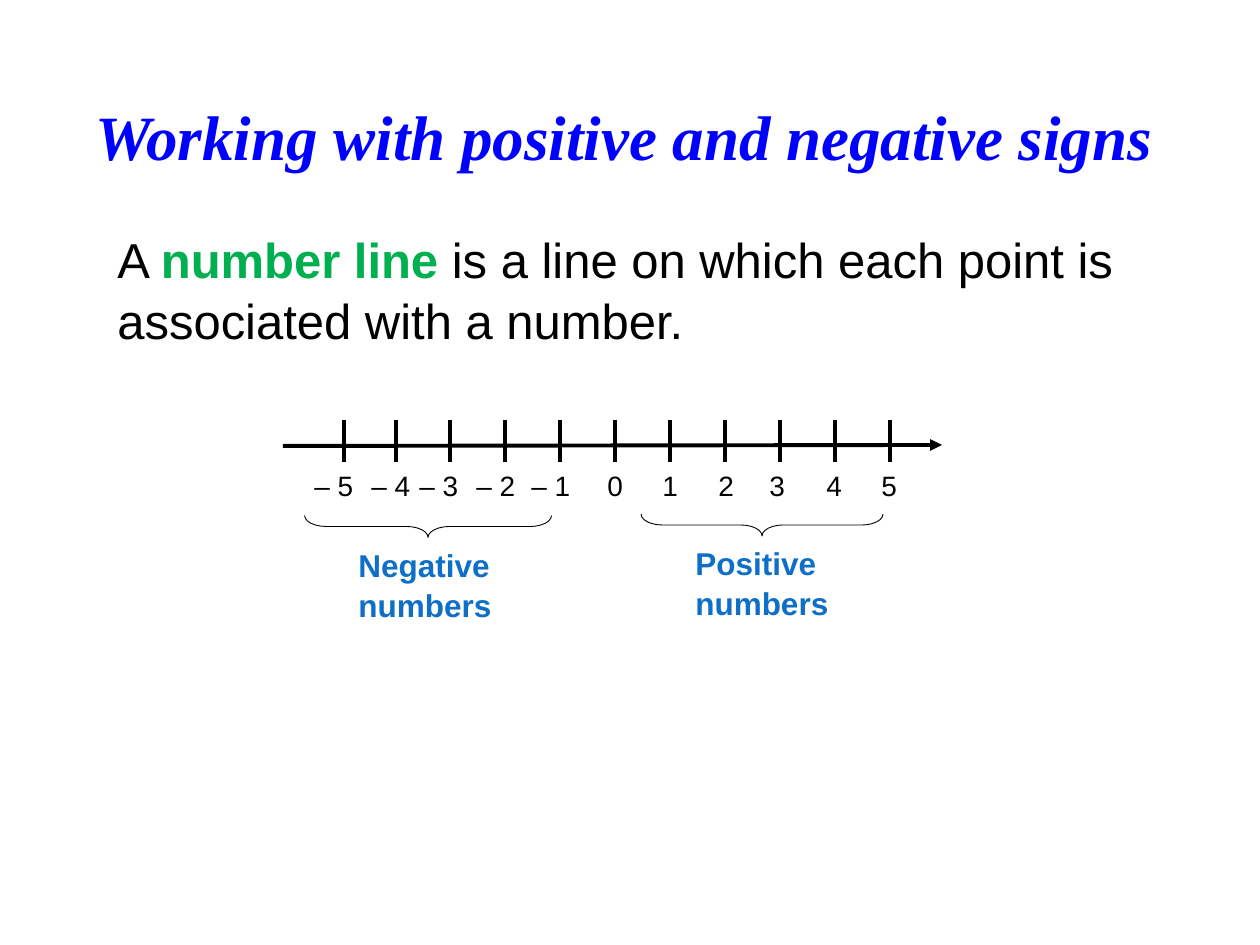
from dataclasses import dataclass

from lxml.etree import SubElement
from pptx import Presentation
from pptx.dml.color import RGBColor
from pptx.enum.shapes import MSO_CONNECTOR, MSO_SHAPE
from pptx.enum.text import MSO_ANCHOR, PP_ALIGN
from pptx.oxml.ns import qn
from pptx.util import Emu, Pt


@dataclass(frozen=True)
class Theme:
    """Colours, fonts, type sizes and line widths of the slide."""
    black: str = "000000"
    title_blue: str = "0000FF"
    term_green: str = "00B050"
    label_blue: str = "0F6FC6"
    title_font: str = "Times New Roman"
    body_font: str = "Arial"
    title_size: int = 36
    body_size: int = 28
    label_size: int = 18
    number_size: int = 16
    axis_width: float = 2.25
    brace_width: float = 0.5
    leading: float = 1.05


THEME = Theme()
TICK_TOP, TICK_BOTTOM = 420, 462
NUMBERS = [
    ("– 5", 344, 302, 84), ("– 4", 396, 359, 84), ("– 3", 450, 407, 84),
    ("– 2", 505, 464, 84), ("– 1", 560, 519, 84), ("0", 615, 595, 42),
    ("1", 670, 650, 64), ("2", 725, 706, 64), ("3", 780, 757, 64),
    ("4", 835, 814, 64), ("5", 890, 869, 64),
]


def px(length):
    """Turn pixels into EMU."""
    return Emu(round(length * 914400 / 126))


def add_text(shapes, frame, runs, size, font=THEME.body_font, align=PP_ALIGN.LEFT,
             leading=None):
    """Add a wrapped text box from (text, colour, bold, italic) runs."""
    box = shapes.add_textbox(*map(px, frame))
    box.text_frame.word_wrap = True
    box.text_frame.vertical_anchor = MSO_ANCHOR.TOP
    para = box.text_frame.paragraphs[0]
    para.alignment = align
    para.line_spacing = leading
    for text, colour, bold, italic in runs:
        span = para.add_run()
        span.text = text
        span.font.name = font
        span.font.size = Pt(size)
        span.font.bold = bold
        span.font.italic = italic
        span.font.color.rgb = RGBColor.from_string(colour)


def add_line(shapes, start, end, arrow=False):
    """Add a straight black line, with an arrowhead at its end if asked."""
    line = shapes.add_connector(MSO_CONNECTOR.STRAIGHT, *map(px, start + end))
    line.line.width = Pt(THEME.axis_width)
    line.line.color.rgb = RGBColor.from_string(THEME.black)
    properties = line.line._get_or_add_ln()
    if arrow:
        SubElement(properties, qn("a:tailEnd"), type="triangle")
    SubElement(properties.getparent(), qn("a:effectLst"))


def add_brace(shapes, frame, curve):
    """Add a brace turned to point down."""
    brace = shapes.add_shape(MSO_SHAPE.RIGHT_BRACE, *map(px, frame))
    brace.rotation = 90
    brace.adjustments[0] = curve
    brace.adjustments[1] = 0.5
    brace.shadow.inherit = False
    brace.fill.background()
    brace.line.width = Pt(THEME.brace_width)
    brace.line.color.rgb = RGBColor.from_string(THEME.black)


def add_number_line(shapes):
    """Add the axis with its ticks and numbers as one group."""
    group = shapes.add_group_shape().shapes
    add_line(group, (283, 446), (942, 445), arrow=True)
    for number, tick, left, width in NUMBERS:
        add_line(group, (tick, TICK_TOP), (tick, TICK_BOTTOM))
        add_text(group, (left, TICK_BOTTOM, width, 47),
                 [(number, THEME.black, False, False)], THEME.number_size)


def add_range(shapes, text, text_frame, brace_frame, curve):
    """Add a brace and the name of the numbers it spans as one group."""
    group = shapes.add_group_shape().shapes
    add_text(group, text_frame, [(text, THEME.label_blue, True, False)],
             THEME.label_size, leading=THEME.leading)
    add_brace(group, brace_frame, curve)


def main():
    """Build and save the slide."""
    deck = Presentation()
    deck.slide_width, deck.slide_height = px(1260), px(945)
    page = deck.slides.add_slide(deck.slide_layouts[6])
    shapes = page.shapes
    add_text(shapes, (57, 91, 1134, 183),
             [("Working with positive and negative signs", THEME.title_blue, True, True)],
             THEME.title_size, THEME.title_font, PP_ALIGN.CENTER)
    add_text(shapes, (105, 220, 1050, 130), [
        ("A ", THEME.black, False, False),
        ("number line ", THEME.term_green, True, False),
        ("is a line on which each point is associated with a number.",
         THEME.black, False, False),
    ], THEME.body_size, leading=THEME.leading)
    add_number_line(shapes)
    add_range(shapes, "Negative numbers", (346, 538, 284, 113), (417, 403, 22, 247), 0.98)
    add_range(shapes, "Positive numbers", (683, 536, 273, 113), (751, 404, 22, 242), 0.96)
    deck.save("out.pptx")


if __name__ == "__main__":
    main()
